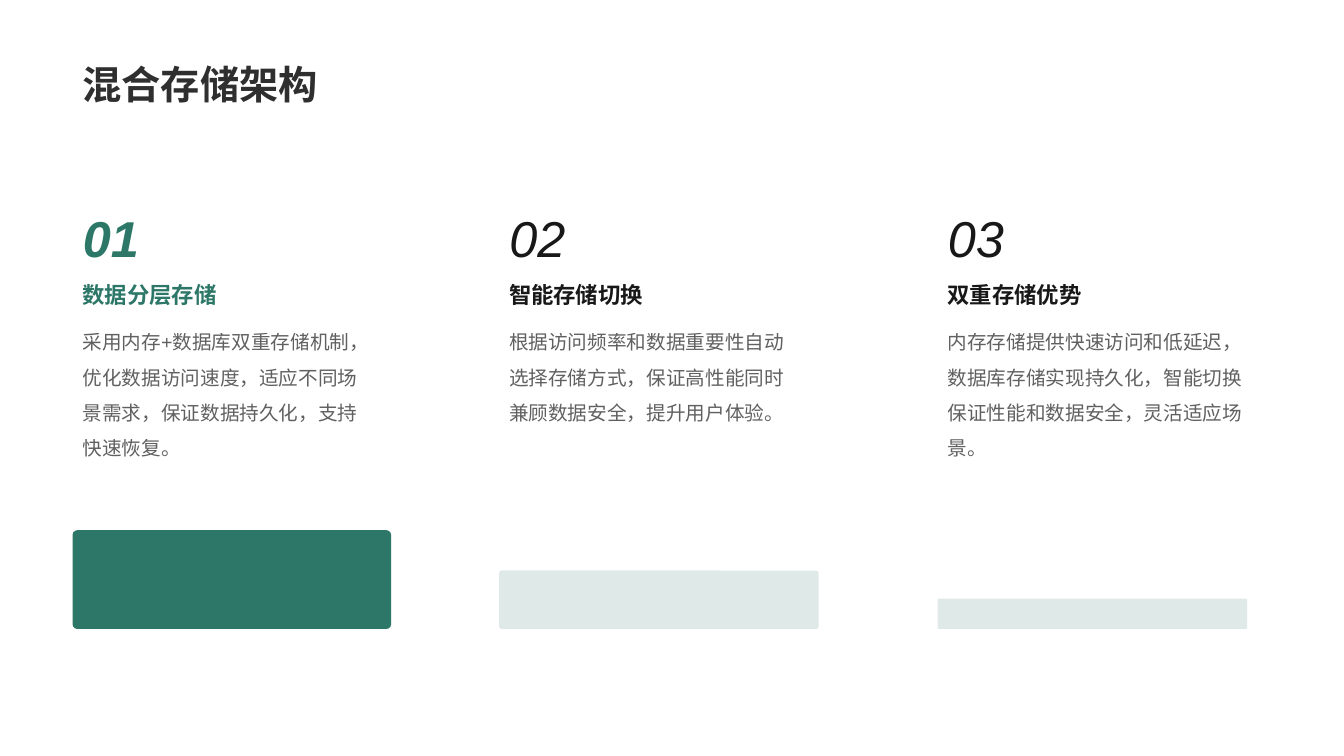
from lxml import etree
from pptx import Presentation
from pptx import util as u
from pptx.dml.color import RGBColor
from pptx.enum import shapes, text
from pptx.oxml.ns import qn

COLORS = {"title": "2F2F2F", "green": "2C7767", "black": "181818", "body": "393939"}
CJK_FONT = "Noto Sans CJK SC"


def set_alpha(fill, percent):
    """Make a solid fill partly transparent."""
    color = fill._xPr.find(qn("a:solidFill"))[0]
    etree.SubElement(color, qn("a:alpha")).set("val", str(percent * 1000))


def add_run(paragraph, words, size, color, font="Arial", bold=False, italic=False):
    """Add a formatted run with a Chinese font."""
    run = paragraph.add_run()
    run.text = words
    run.font.size = u.Pt(size)
    run.font.name = font
    run.font.bold = bold
    run.font.italic = italic
    run.font.color.rgb = RGBColor.from_string(COLORS[color])
    latin = run.font._element.find(qn("a:latin"))
    east_asian = etree.Element(qn("a:ea"))
    east_asian.set("typeface", CJK_FONT)
    latin.addnext(east_asian)
    return run


presentation = Presentation()
presentation.slide_width = u.Inches(13.33)
presentation.slide_height = u.Inches(7.5)
slide = presentation.slides.add_slide(presentation.slide_layouts[5])

# Title
title = slide.shapes.title
title.left, title.top = u.Inches(0.72), u.Inches(0)
title.width, title.height = u.Inches(11.88), u.Inches(1.12)
title.text_frame.auto_size = text.MSO_AUTO_SIZE.NONE
title.text_frame.vertical_anchor = text.MSO_ANCHOR.BOTTOM
paragraph = title.text_frame.paragraphs[0]
paragraph.alignment = text.PP_ALIGN.LEFT
paragraph.line_spacing = 0.9
add_run(paragraph, "混合存储架构", 28, "title", font=CJK_FONT, bold=True)

# Columns: left, accent colour, heading, body, body width, bar width, bar height, bar opacity
columns = [
    (0.72, "green", "数据分层存储",
     "采用内存+数据库双重存储机制，优化数据访问速度，适应不同场景需求，保证数据持久化，支持快速恢复。",
     3.12, 3.16, 0.98, 100),
    (4.95, "black", "智能存储切换",
     "根据访问频率和数据重要性自动选择存储方式，保证高性能同时兼顾数据安全，提升用户体验。",
     3.12, 3.17, 0.58, 15),
    (9.3, "black", "双重存储优势",
     "内存存储提供快速访问和低延迟，数据库存储实现持久化，智能切换保证性能和数据安全，灵活适应场景。",
     3.17, 3.07, 0.3, 15),
]
bar_bottom = 6.24

for number, column in enumerate(columns, start=1):
    left, accent, heading, body, body_width, bar_width, bar_height, opacity = column

    # Number, heading and body text
    paragraphs = []
    for top, width, height in [(2.01, 0.76, 0.71), (2.74, 3.12, 0.37), (3.11, body_width, 1.12)]:
        box = slide.shapes.add_textbox(
            u.Inches(left), u.Inches(top), u.Inches(width), u.Inches(height))
        box.text_frame.word_wrap = True
        box.text_frame.auto_size = text.MSO_AUTO_SIZE.SHAPE_TO_FIT_TEXT
        paragraphs.append(box.text_frame.paragraphs[0])
    number_line, heading_line, body_line = paragraphs

    number_line.alignment = text.PP_ALIGN.CENTER
    number_line._parent.word_wrap = False
    add_run(number_line, f"{number:02d}", 36, accent, bold=number == 1, italic=True)
    add_run(heading_line, heading, 16, accent, bold=True)
    body_line.line_spacing = 1.5
    set_alpha(add_run(body_line, body, 14, "body").font.fill, 80)

    # Bar along the common baseline
    bar = slide.shapes.add_shape(
        shapes.MSO_SHAPE.ROUNDED_RECTANGLE, u.Inches(left), u.Inches(bar_bottom - bar_height),
        u.Inches(bar_width), u.Inches(bar_height))
    bar.adjustments[0] = 0.048
    bar.shadow.inherit = False
    bar.line.fill.background()
    bar.fill.solid()
    bar.fill.fore_color.rgb = RGBColor.from_string(COLORS["green"])
    if opacity < 100:
        set_alpha(bar.fill, opacity)

presentation.save("out.pptx")
